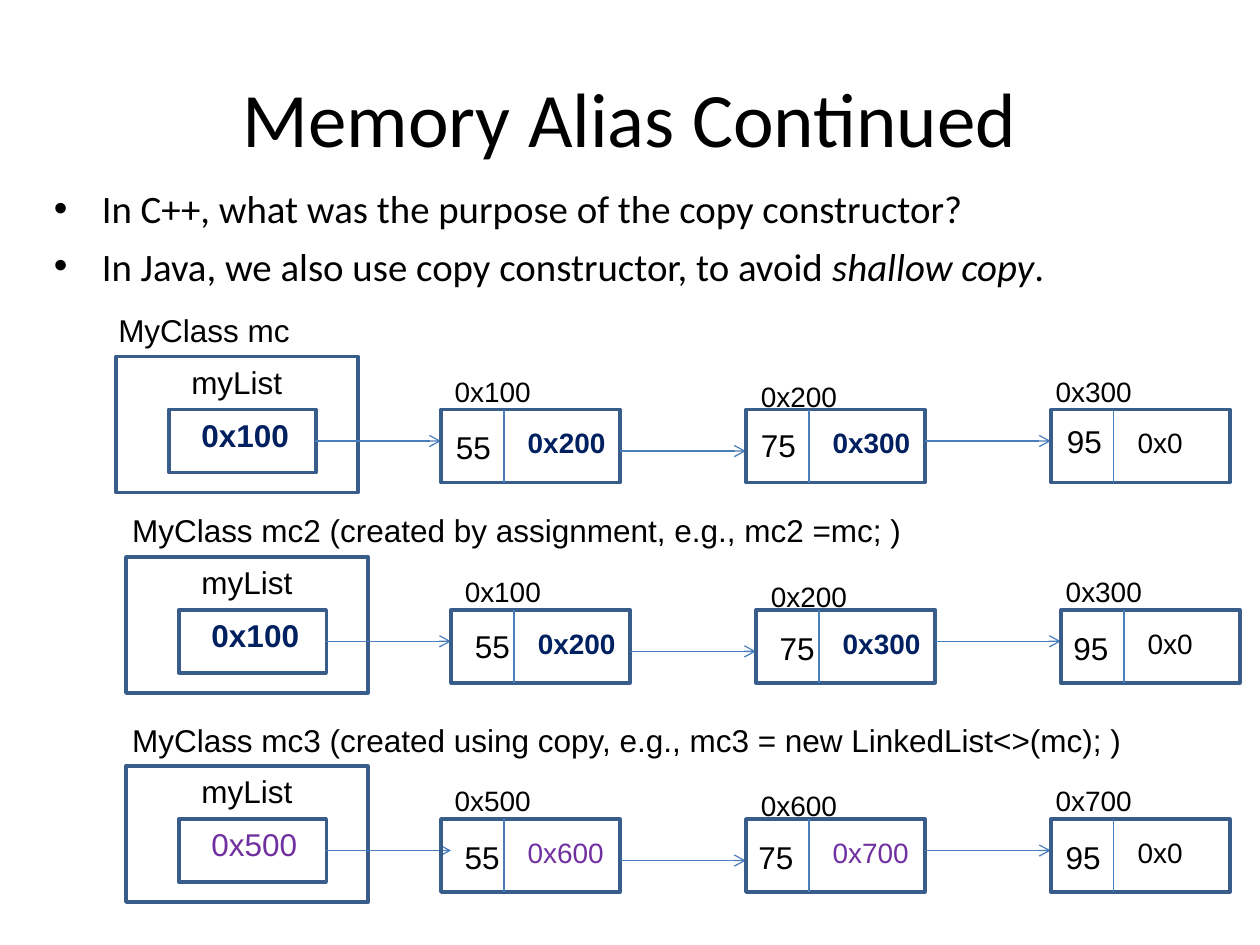
from lxml import etree
from pptx import Presentation
from pptx.dml.color import RGBColor
from pptx.enum.shapes import MSO_CONNECTOR, MSO_SHAPE
from pptx.enum.text import MSO_ANCHOR, MSO_AUTO_SIZE, PP_ALIGN
from pptx.oxml.ns import qn
from pptx.util import Inches, Pt

RECTANGLE = MSO_SHAPE.RECTANGLE
STRAIGHT = MSO_CONNECTOR.STRAIGHT
MIDDLE = MSO_ANCHOR.MIDDLE
CENTER = PP_ALIGN.CENTER
FIT_SHAPE = MSO_AUTO_SIZE.SHAPE_TO_FIT_TEXT

COLORS = {"text": "000000", "outline": "385D8A", "arrow": "4A7EBB",
          "shared": "002060", "copied": "7030A0"}

TITLE = "Memory Alias Continued"
BULLETS = [
    [("In C++, what was the purpose of the copy constructor?", False)],
    [("In Java, we also use copy constructor, to avoid ", False),
     ("shallow copy", True), (".", False)],
]
VALUES = ["55", "75", "95"]
# value_offsets: place of each value relative to the corner of its node
OBJECTS = [
    {"caption": "MyClass mc", "caption_left": 0.84, "caption_width": 1.58,
     "left": 0.92, "top": 2.83, "nodes_left": 3.5, "pointer": "shared",
     "addresses": ["0x100", "0x200", "0x300"],
     "value_offsets": [(0.02, 0.1), (0.02, 0.08), (0.03, 0.05)]},
    {"caption": "MyClass mc2 (created by assignment, e.g., mc2 =mc; )",
     "caption_left": 0.95, "caption_width": 6.32,
     "left": 1, "top": 4.42, "nodes_left": 3.58, "pointer": "shared",
     "addresses": ["0x100", "0x200", "0x300"],
     "value_offsets": [(0.09, 0.09), (0.09, 0.1), (0, 0.1)]},
    {"caption": "MyClass mc3 (created using copy, e.g., mc3 = new LinkedList<>(mc); )",
     "caption_left": 0.95, "caption_width": 8.09,
     "left": 1, "top": 6.08, "nodes_left": 3.5, "pointer": "copied",
     "addresses": ["0x500", "0x600", "0x700"],
     "value_offsets": [(0.09, 0.1), (0, 0.1), (0.02, 0.1)]},
]
NULL_ADDRESS = "0x0"

NODE_WIDTH, NODE_HEIGHT, NODE_PITCH = 1.42, 0.58, 2.42
NODE_DROP = 0.42
DIVIDER = 0.5
ARROW_LENGTH = 1
ADDRESS_OFFSETS = [(0.01, -0.33), (0.02, -0.29), (-0.06, -0.33)]
NEXT_ARROW_DROPS = [0.33, 0.25]

presentation = Presentation()
presentation.slide_width, presentation.slide_height = Inches(10), Inches(7.5)
slide = presentation.slides.add_slide(presentation.slide_layouts[6])


def color(name):
    return RGBColor.from_string(COLORS[name])


def add_run(paragraph, text, size, font="Arial", fill="text", bold=False, italic=False):
    run = paragraph.add_run()
    run.text = text
    run.font.size, run.font.name = Pt(size), font
    run.font.bold, run.font.italic = bold, italic
    run.font.color.rgb = color(fill)


def add_frame(left, top, width, height):
    box = slide.shapes.add_textbox(Inches(left), Inches(top), Inches(width), Inches(height))
    box.text_frame.word_wrap = True
    return box.text_frame


def add_label(text, left, top, width, size=18, **style):
    """Add a one-line text that does not wrap."""
    frame = add_frame(left, top, width, 0.4 if size == 18 else 0.37)
    frame.word_wrap = False
    frame.auto_size = FIT_SHAPE
    add_run(frame.paragraphs[0], text, size, **style)


def add_outline(left, top, width, height):
    shape = slide.shapes.add_shape(RECTANGLE, Inches(left), Inches(top),
                                   Inches(width), Inches(height))
    shape.shadow.inherit = False
    shape.fill.background()
    shape.line.color.rgb = color("outline")
    shape.line.width = Pt(2)


def add_line(left, top, width=0, height=0, arrow=False):
    connector = slide.shapes.add_connector(STRAIGHT, Inches(left), Inches(top),
                                           Inches(left + width), Inches(top + height))
    connector.line.color.rgb = color("arrow")
    connector.line.width = Pt(0.75)
    properties = connector._element.spPr
    if arrow:
        etree.SubElement(properties.find(qn("a:ln")), qn("a:tailEnd"), type="arrow")
    etree.SubElement(properties, qn("a:effectLst"))


def add_bullet(paragraph):
    properties = paragraph._p.get_or_add_pPr()
    properties.set("marL", str(Inches(0.38)))
    properties.set("indent", str(-Inches(0.38)))
    etree.SubElement(properties, qn("a:buFont"), typeface="Arial")
    etree.SubElement(properties, qn("a:buChar"), char="•")


def add_object(item):
    """Draw the outer box with its caption and its pointer to the first node."""
    left, top, pointer = item["left"], item["top"], item["pointer"]
    add_label(item["caption"], item["caption_left"], top - 0.41, item["caption_width"])
    add_outline(left, top, 1.92, 1.08)
    add_label("myList", left + 0.5, top, 0.94)
    add_outline(left + 0.42, top + NODE_DROP, 1.17, 0.5)
    add_label(item["addresses"][0], left + 0.58, top + NODE_DROP, 0.91,
              fill=pointer, bold=pointer == "shared")
    add_line(left + 1.58, top + 0.67, ARROW_LENGTH, arrow=True)


def add_nodes(item):
    top = item["top"] + NODE_DROP
    addresses = item["addresses"]
    for index, value in enumerate(VALUES):
        left = item["nodes_left"] + index * NODE_PITCH
        add_outline(left, top, NODE_WIDTH, NODE_HEIGHT)
        add_line(left + DIVIDER, top, height=NODE_HEIGHT)
        label_x, label_y = ADDRESS_OFFSETS[index]
        add_label(addresses[index], left + label_x, top + label_y, 0.82, size=16)
        value_x, value_y = item["value_offsets"][index]
        add_label(value, left + value_x, top + value_y, 0.5)
        next_left, next_top = left + 0.59, top + 0.08
        if index + 1 < len(VALUES):
            add_label(addresses[index + 1], next_left, next_top, 0.83, size=16,
                      fill=item["pointer"], bold=item["pointer"] == "shared")
            add_line(left + NODE_WIDTH, top + NEXT_ARROW_DROPS[index],
                     ARROW_LENGTH, arrow=True)
        else:
            add_label(NULL_ADDRESS, next_left, next_top, 0.58, size=16)


title = add_frame(0.5, 0.3, 9, 1.25)
title.vertical_anchor = MIDDLE
title.paragraphs[0].alignment = CENTER
add_run(title.paragraphs[0], TITLE, 44, font="Calibri")

body = add_frame(0.33, 1.42, 9.33, 0.92)
for index, runs in enumerate(BULLETS):
    paragraph = body.add_paragraph() if index else body.paragraphs[0]
    add_bullet(paragraph)
    if index:
        paragraph.space_before = Pt(6)
    for text, italic in runs:
        add_run(paragraph, text, 22.2, font="Calibri", italic=italic)

for item in OBJECTS:
    add_object(item)
    add_nodes(item)

presentation.save("out.pptx")
